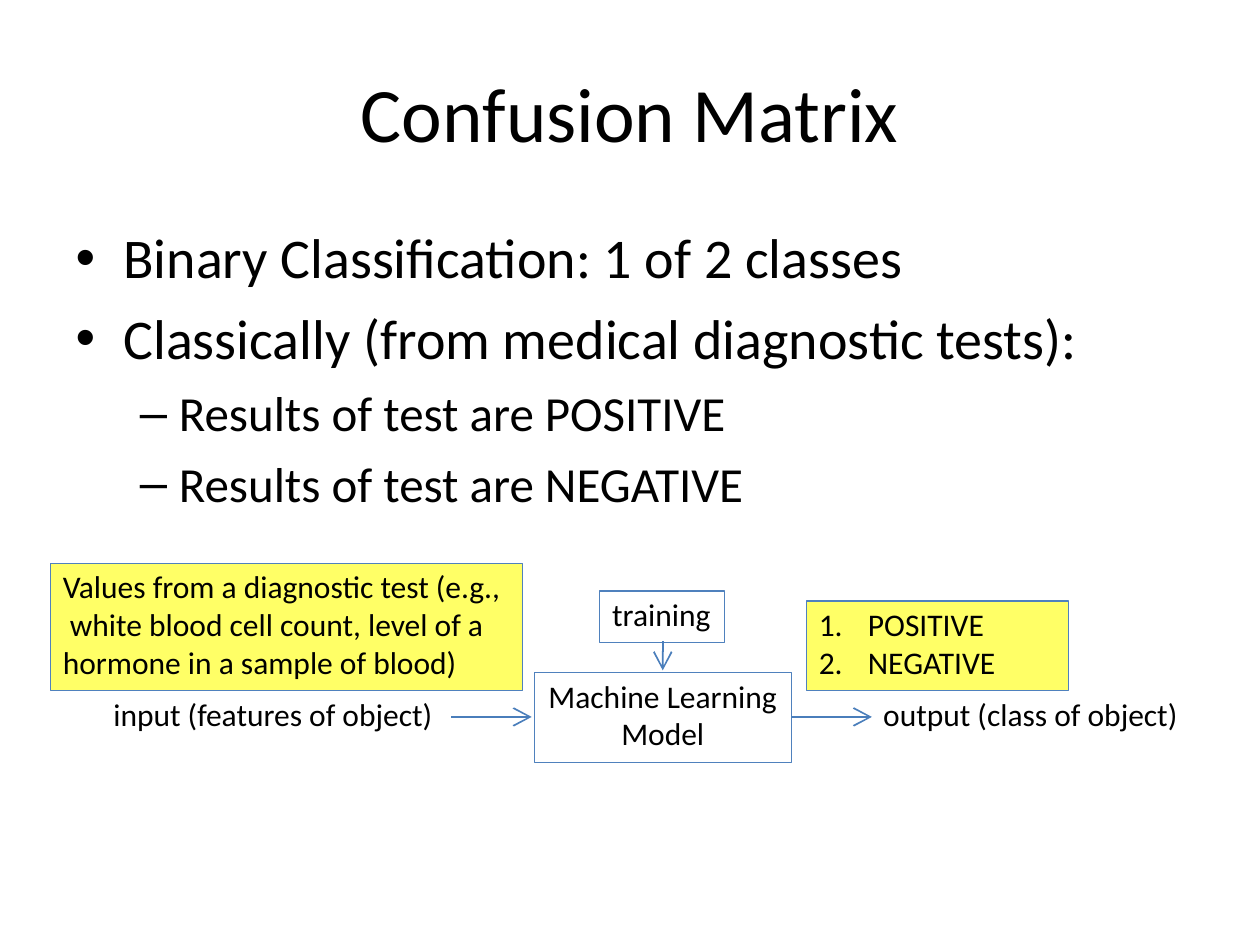
from lxml.etree import SubElement
from pptx import Presentation
from pptx.dml.color import RGBColor
from pptx.enum.shapes import MSO_CONNECTOR, MSO_SHAPE
from pptx.enum.text import MSO_ANCHOR, PP_ALIGN
from pptx.oxml.ns import qn
from pptx.util import Inches, Pt

BLACK = RGBColor(0x00, 0x00, 0x00)
WHITE = RGBColor(0xFF, 0xFF, 0xFF)
YELLOW = RGBColor(0xFF, 0xFF, 0x66)
FRAME_BLUE = RGBColor(0x4F, 0x81, 0xBD)
ARROW_BLUE = RGBColor(0x4A, 0x7E, 0xBB)

deck = Presentation()
deck.slide_width, deck.slide_height = Inches(10), Inches(7.5)
page = deck.slides.add_slide(deck.slide_layouts[6])

# The page is a grid of 100 columns by 75 rows.
COLUMN = deck.slide_width / 100
ROW = deck.slide_height / 75


def on_grid(left, top, right, bottom):
    """Turn columns and rows into slide lengths."""
    return [int(left * COLUMN), int(top * ROW), int(right * COLUMN), int(bottom * ROW)]


def write(box, lines, size=18, side=0, top=0.1, align=PP_ALIGN.LEFT, anchor=MSO_ANCHOR.TOP):
    """Fill a box with lines of (text, size, space before, indent, hanging, bullet)."""
    frame = box.text_frame
    insets = dict(margin_left=int(side * COLUMN), margin_right=0,
                  margin_top=int(top * ROW), margin_bottom=0)
    for name, value in dict(insets, word_wrap=True, vertical_anchor=anchor).items():
        setattr(frame, name, value)
    for index, line in enumerate(lines):
        text, points, before, indent, hanging, bullet = (
            (line, size, 0, 0, 0, None) if isinstance(line, str) else line)
        para = frame.paragraphs[0] if index == 0 else frame.add_paragraph()
        para.text = text
        para.alignment = align
        para.space_before = Pt(before)
        if bullet:
            properties = para._p.get_or_add_pPr()
            properties.set("marL", str(int(indent * COLUMN)))
            properties.set("indent", str(int(-hanging * COLUMN)))
            if bullet == "number":
                SubElement(properties, qn("a:buAutoNum"), type="arabicPeriod")
            else:
                SubElement(properties, qn("a:buFont"), typeface="Arial")
                SubElement(properties, qn("a:buChar"), char=bullet)
        for span in para.runs:
            for name, value in dict(name="Calibri", size=Pt(points)).items():
                setattr(span.font, name, value)
            span.font.color.rgb = BLACK


title = page.shapes.add_textbox(*on_grid(28.5, 5, 43, 7.6))
write(title, ["Confusion Matrix"], size=44, align=PP_ALIGN.CENTER, anchor=MSO_ANCHOR.MIDDLE)

body = page.shapes.add_textbox(*on_grid(5.9, 16.5, 82, 24.3))
write(body, [
    ("Binary Classification: 1 of 2 classes", 32, 0, 3.9, 3.8, "•"),
    ("Classically (from medical diagnostic tests):", 32, 7.7, 3.9, 3.8, "•"),
    ("Results of test are POSITIVE", 28, 6.8, 8.3, 3.1, "–"),
    ("Results of test are NEGATIVE", 28, 6.8, 8.3, 3.1, "–"),
], top=1.2)

for label, left, width in [("input (features of object)", 9, 27),
                           ("output (class of object)", 70.1, 25)]:
    write(page.shapes.add_textbox(*on_grid(left, 55.1, width, 3.3)), [label])

framed_boxes = [
    (["Machine Learning\vModel"], (42.4, 53.4, 20.4, 7.1), WHITE, 0, PP_ALIGN.CENTER),
    (["training"], (47.6, 46.9, 9.9, 4.1), WHITE, 1, PP_ALIGN.LEFT),
    (["Values from a diagnostic test (e.g.,\v white blood cell count, level of a\v"
      "hormone in a sample of blood)"], (4, 44.7, 37.5, 10.1), YELLOW, 1, PP_ALIGN.LEFT),
    ([(answer, 18, 0, 3.9, 3.9, "number") for answer in ("POSITIVE", "NEGATIVE")],
     (64, 47.7, 20.8, 7.1), YELLOW, 1, PP_ALIGN.LEFT),
]
for lines, place, fill, side, align in framed_boxes:
    box = page.shapes.add_shape(MSO_SHAPE.RECTANGLE, *on_grid(*place))
    box.shadow.inherit = False
    box.fill.solid()
    box.fill.fore_color.rgb = fill
    box.line.color.rgb = FRAME_BLUE
    box.line.width = Pt(0.72)
    write(box, lines, side=side, top=0.3, align=align)

arrows = [(35.8, 56.9, 42.2, 56.9), (62.8, 56.9, 69.2, 56.9), (52.6, 50.9, 52.6, 53.2)]
for ends in arrows:
    arrow = page.shapes.add_connector(MSO_CONNECTOR.STRAIGHT, *on_grid(*ends))
    arrow.line.color.rgb = ARROW_BLUE
    arrow.line.width = Pt(1)
    SubElement(arrow.line._get_or_add_ln(), qn("a:tailEnd"), type="arrow", w="lg", len="lg")
    SubElement(arrow._element.spPr, qn("a:effectLst"))

deck.save("out.pptx")
